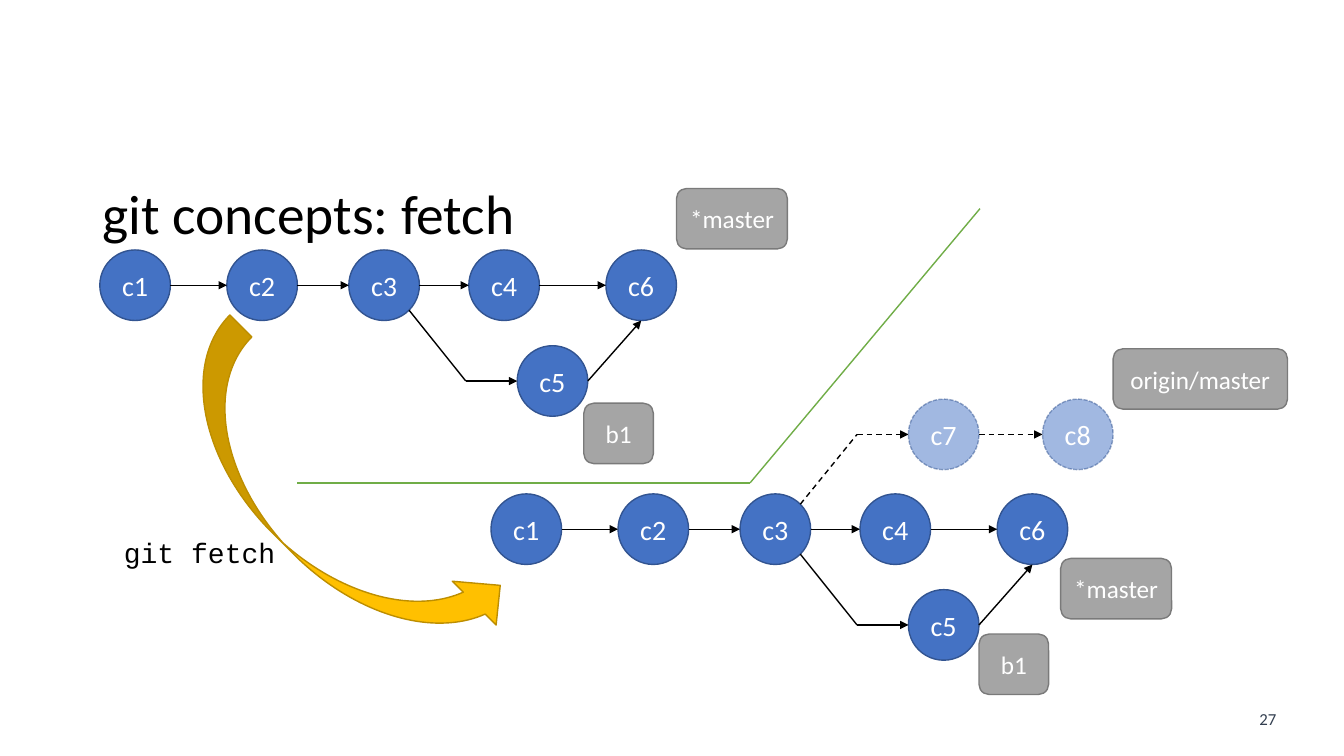
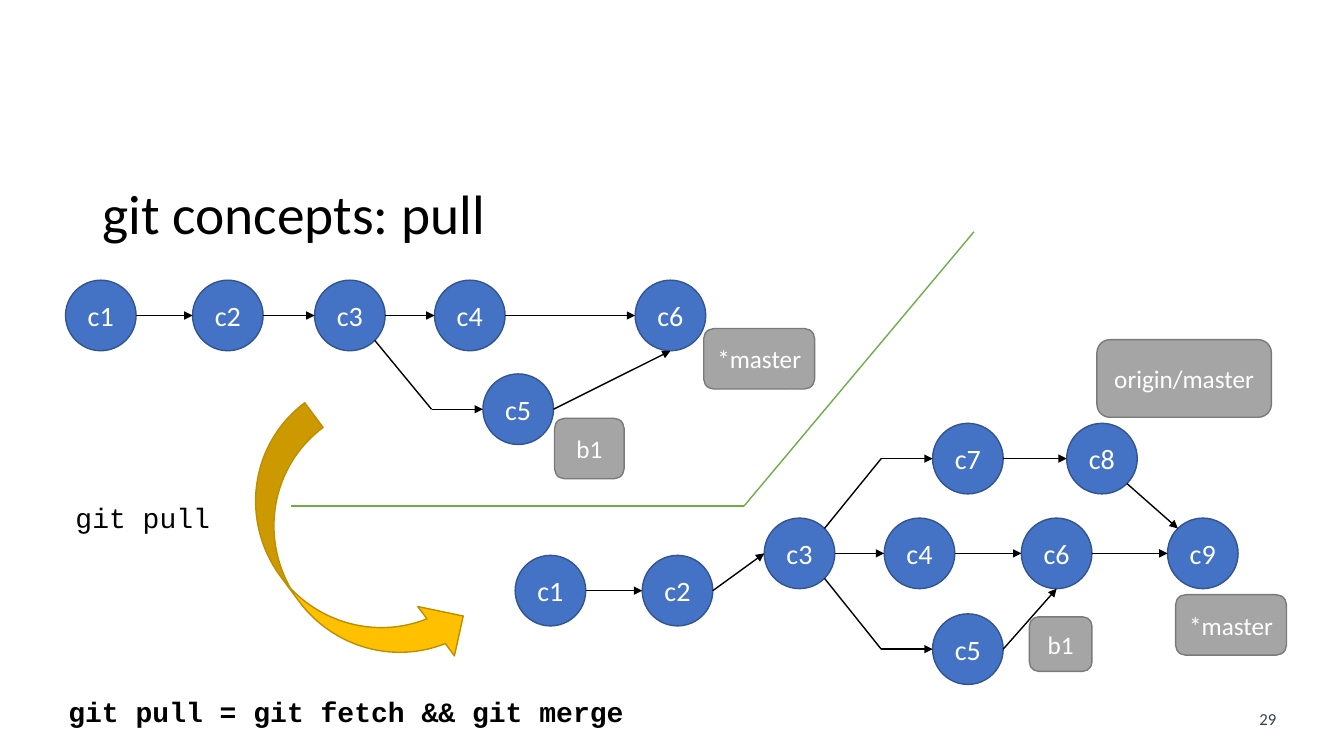
from lxml import etree
from pptx import Presentation
from pptx.dml.color import RGBColor
from pptx.enum.dml import MSO_LINE
from pptx.enum.shapes import MSO_CONNECTOR, MSO_SHAPE
from pptx.enum.text import MSO_ANCHOR, PP_ALIGN
from pptx.oxml.ns import qn
from pptx.util import Inches, Pt

OVAL, ROUNDED = MSO_SHAPE.OVAL, MSO_SHAPE.ROUNDED_RECTANGLE
CURVED_ARROW = MSO_SHAPE.CURVED_RIGHT_ARROW
STRAIGHT = MSO_CONNECTOR.STRAIGHT
DASH, SHORT_DASH = MSO_LINE.DASH, MSO_LINE.SQUARE_DOT
MIDDLE, TOP = MSO_ANCHOR.MIDDLE, MSO_ANCHOR.TOP
CENTER, LEFT = PP_ALIGN.CENTER, PP_ALIGN.LEFT

COLORS = {
    "text": "000000", "white": "FFFFFF", "number": "333F50",
    "commit": "4472C4", "commit_line": "325491",
    "label": "A5A5A5", "label_line": "7A7A7A",
    "arrow": "FFC000", "arrow_line": "BD8E00", "divider": "70AD47",
}
SANS, MONO = "Calibri", "Courier New"

SIZE = 0.7
RADIUS = SIZE / 2
DIAG = 0.707
ELBOW = 0.51
DIVIDER = [(0, 0), (4.49, 0), (6.77, -2.72)]

COMMITS = {
    "c1": (0, 0), "c2": (1.26, 0), "c3": (2.47, 0), "c4": (3.66, 0),
    "c5": (4.14, 0.95), "c6": (5.02, 0), "c7": (4.14, -0.94),
    "c8": (5.47, -0.94), "c9": (6.47, 0),
}
PORTS = {
    "next": ((1, 0), (-1, 0)),
    "join": ((1, 0), (0, 1)),
    "merge": ((DIAG, DIAG), (-DIAG, -DIAG)),
}
LOCAL = [
    ("c1", "c2", "next"), ("c2", "c3", "next"), ("c3", "c4", "next"),
    ("c3", "c5", "fork"), ("c4", "c6", "next"), ("c5", "c6", "join"),
]
FETCHED = LOCAL + [("c3", "c7", "fork"), ("c7", "c8", "next")]
PULLED = FETCHED + [("c6", "c9", "next"), ("c8", "c9", "merge")]

SLIDES = [
    {
        "title": "git concepts: fetch", "number": "27",
        "arrow": (2.68, 2.96, 1.23, 4.1, 315),
        "divider": (2.95, 4.79),
        "captions": [("git fetch", 1.13, 5.26, 1.72, False)],
        "graphs": [
            {"at": (0.99, 2.48), "edges": LOCAL, "moved": {}, "pale": (),
             "labels": [("*master", 6.71, 1.87, 1.1, 0.6),
                        ("b1", 5.79, 4, 0.69, 0.6)]},
            {"at": (4.87, 4.9), "edges": FETCHED, "moved": {},
             "pale": ("c7", "c8"),
             "labels": [("*master", 10.52, 5.54, 1.1, 0.6),
                        ("b1", 9.71, 6.29, 0.69, 0.6),
                        ("origin/master", 11.04, 3.46, 1.73, 0.6)]},
        ],
    },
    {
        "title": "git concepts: pull", "number": "29",
        "arrow": (2.8, 4.07, 1.22, 2.94, 323.4),
        "divider": (2.89, 5.02),
        "captions": [("git pull", 0.65, 4.92, 1.55, False),
                     ("git pull = git fetch && git merge",
                      0.58, 6.84, 5.76, True)],
        "graphs": [
            {"at": (0.65, 2.78), "edges": LOCAL, "pale": (),
             "moved": {"c5": (4.14, 0.93), "c6": (5.65, 0)},
             "labels": [("*master", 6.98, 3.26, 1.1, 0.6),
                        ("b1", 5.5, 4.15, 0.69, 0.6)]},
            {"at": (5.11, 5.14), "edges": PULLED, "pale": (),
             "moved": {"c1": (0, 0.37), "c2": (1.26, 0.37)},
             "labels": [("*master", 11.66, 5.9, 1.1, 0.6),
                        ("b1", 10.21, 6.12, 0.62, 0.54),
                        ("origin/master", 10.88, 3.37, 1.73, 0.77)]},
        ],
    },
]


def rgb(name):
    return RGBColor.from_string(COLORS[name])


def set_text(sp, text, size, color, font=SANS, bold=False, align=LEFT,
             anchor=TOP, wrap=True):
    tf = sp.text_frame
    tf.word_wrap = wrap
    tf.vertical_anchor = anchor
    p = tf.paragraphs[0]
    p.text = text
    p.alignment = align
    p.font.name, p.font.size, p.font.bold = font, Pt(size), bold
    p.font.color.rgb = rgb(color)
    return p


def add_text(s, box, text, size, color, **style):
    sp = s.shapes.add_textbox(*map(Inches, box))
    return set_text(sp, text, size, color, **style)


def add_shape(s, kind, box, style):
    sp = s.shapes.add_shape(kind, *map(Inches, box))
    sp.shadow.inherit = False
    sp.fill.solid()
    sp.fill.fore_color.rgb = rgb(style)
    sp.line.color.rgb = rgb(style + "_line")
    sp.line.width = Pt(1)
    return sp


def make_pale(sp):
    sp.line.dash_style = SHORT_DASH
    for color in list(sp.element.spPr.iter(qn("a:srgbClr"))):
        etree.SubElement(color, qn("a:alpha")).set("val", "50000")


def add_line(s, start, end, color="text", head=True, dashed=False):
    sp = s.shapes.add_connector(STRAIGHT, *map(Inches, start + end))
    sp.line.color.rgb = rgb(color)
    sp.line.width = Pt(1)
    if dashed:
        sp.line.dash_style = DASH
    if head:
        ln = sp.line._get_or_add_ln()
        etree.SubElement(ln, qn("a:tailEnd")).set("type", "triangle")
    etree.SubElement(sp.element.spPr, qn("a:effectLst"))


def port(center, direction):
    return tuple(c + RADIUS * d for c, d in zip(center, direction))


def add_edge(s, start, end, kind, dashed):
    if kind == "fork":
        side = DIAG if end[1] > start[1] else -DIAG
        target = port(end, (-1, 0))
        bend = (target[0] - ELBOW, target[1])
        add_line(s, port(start, (DIAG, side)), bend, head=False, dashed=dashed)
        add_line(s, bend, target, dashed=dashed)
    else:
        out, into = PORTS[kind]
        add_line(s, port(start, out), port(end, into), dashed=dashed)


def add_graph(s, graph):
    for text, *box in graph["labels"]:
        sp = add_shape(s, ROUNDED, box, "label")
        set_text(sp, text, 18, "white", align=CENTER, anchor=MIDDLE)
    places = {**COMMITS, **graph["moved"]}
    left, top = graph["at"]
    centers = {}
    for name in sorted({n for edge in graph["edges"] for n in edge[:2]}):
        x, y = left + places[name][0], top + places[name][1]
        centers[name] = (x + RADIUS, y + RADIUS)
        sp = add_shape(s, OVAL, (x, y, SIZE, SIZE), "commit")
        set_text(sp, name, 20, "white", align=CENTER, anchor=MIDDLE)
        if name in graph["pale"]:
            make_pale(sp)
    for a, b, kind in graph["edges"]:
        add_edge(s, centers[a], centers[b], kind, b in graph["pale"])


def build_slide(prs, data):
    s = prs.slides.add_slide(prs.slide_layouts[6])
    add_text(s, (12.34, 6.98, 0.47, 0.3), data["number"], 12, "number",
             align=CENTER)
    p = add_text(s, (0.92, 1.8, 11.5, 0.7), data["title"], 39.6, "text",
                 anchor=MIDDLE)
    p.line_spacing = 0.9
    *box, angle = data["arrow"]
    add_shape(s, CURVED_ARROW, box, "arrow").rotation = angle
    for graph in data["graphs"]:
        add_graph(s, graph)
    x, y = data["divider"]
    points = [(x + dx, y + dy) for dx, dy in DIVIDER]
    for start, end in zip(points, points[1:]):
        add_line(s, start, end, "divider", head=False)
    for text, left, top, width, bold in data["captions"]:
        add_text(s, (left, top, width, 0.44), text, 20, "text", font=MONO,
                 bold=bold, wrap=False)


def main():
    prs = Presentation()
    prs.slide_width, prs.slide_height = Inches(13.33), Inches(7.5)
    for data in SLIDES:
        build_slide(prs, data)
    prs.save("out.pptx")


if __name__ == "__main__":
    main()
